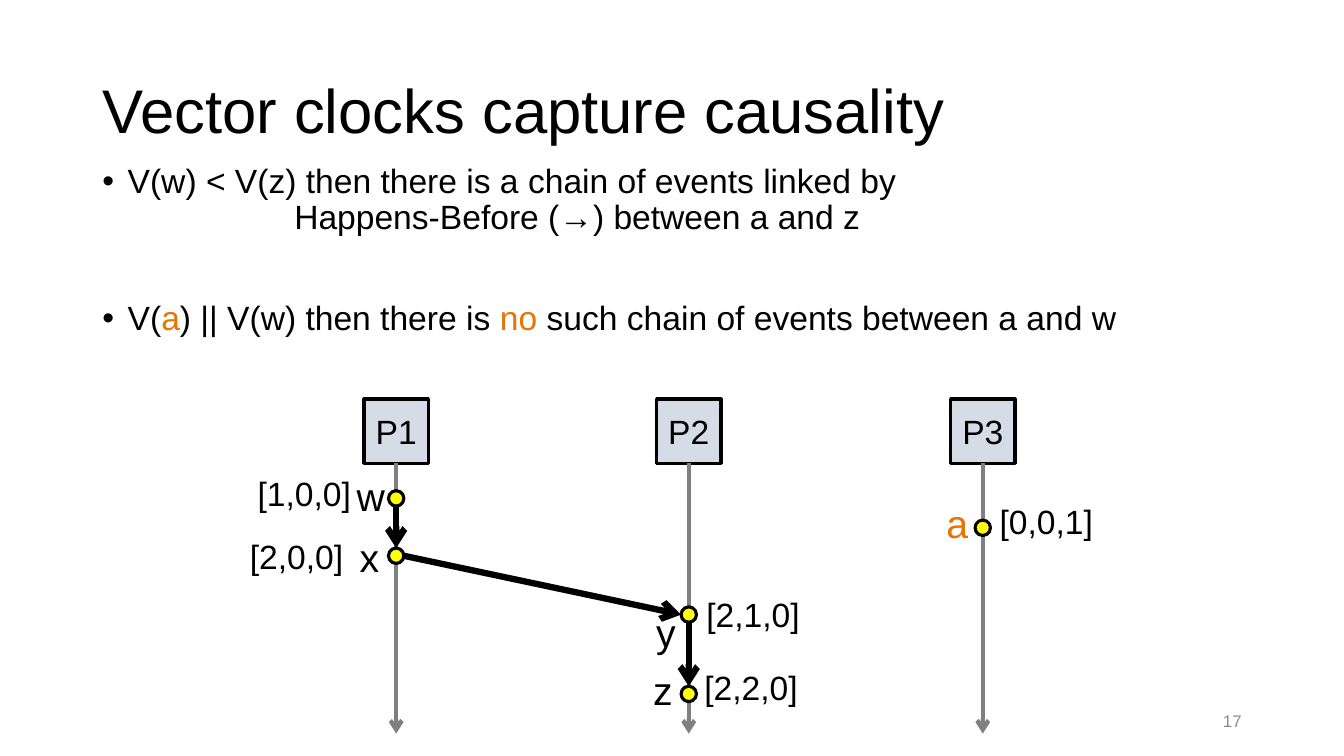
from pptx import Presentation
from pptx.dml.color import RGBColor
from pptx.enum.shapes import MSO_CONNECTOR as LINE, MSO_SHAPE as SHAPE
from pptx.enum.text import MSO_ANCHOR as ANCHOR, MSO_AUTO_SIZE as FIT, PP_ALIGN as ALIGN
from pptx.oxml.ns import qn
from pptx.util import Pt
from lxml.etree import SubElement

BLACK, GRAY, ORANGE = "000000", "808080", "E77500"
BOX_SIZE, BOX_TOP, TIMELINE_END, DOT = 46, 285, 524, 11

PROCESSES = {"P1": 283, "P2": 492, "P3": 702}

# name: process, centre y, name position, clock, clock position, name colour
EVENTS = {
    "w": ("P1", 356, (247.7, 334), "[1,0,0]", (177, 334), BLACK),
    "x": ("P1", 397, (249.8, 377.3), "[2,0,0]", (171.4, 379.4), BLACK),
    "y": ("P2", 439, (461.5, 431.3), "[2,1,0]", (497.5, 420.5), BLACK),
    "z": ("P2", 495.7, (459.4, 472.3), "[2,2,0]", (496, 473), BLACK),
    "a": ("P3", 377, (668.9, 352.8), "[0,0,1]", (707, 354.2), ORANGE),
}
CHAIN = ["w", "x", "y", "z"]


def color(hex_text):
    return RGBColor.from_string(hex_text)


def write(para, text, size=24, fill=BLACK, align=None):
    span = para.add_run()
    span.text = text
    span.font.name = "Arial"
    span.font.size = Pt(size)
    span.font.color.rgb = color(fill)
    if align is not None:
        para.alignment = align


def place(shape, left, top, width, height):
    shape.left, shape.top = Pt(left), Pt(top)
    shape.width, shape.height = Pt(width), Pt(height)


def add_bullet(para, tab=None):
    """Give the paragraph a hanging bullet and an optional tab stop."""
    props = para._p.get_or_add_pPr()
    props.set("marL", str(Pt(18)))
    props.set("indent", str(-Pt(18)))
    bullet_color = SubElement(props, qn("a:buClr"))
    SubElement(bullet_color, qn("a:srgbClr"), val=BLACK)
    SubElement(props, qn("a:buFont"), typeface="Arial")
    SubElement(props, qn("a:buChar"), char="•")
    if tab:
        tabs = SubElement(props, qn("a:tabLst"))
        SubElement(tabs, qn("a:tab"), pos=str(Pt(tab)), algn="l")
    para.line_spacing = 0.9


def add_label(page, text, left, top, width, height, size=24, fill=BLACK):
    box = page.shapes.add_textbox(Pt(left), Pt(top), Pt(width), Pt(height))
    box.text_frame.word_wrap = False
    box.text_frame.auto_size = FIT.SHAPE_TO_FIT_TEXT
    write(box.text_frame.paragraphs[0], text, size, fill)


def add_shape(page, kind, center_x, top, size, fill):
    shape = page.shapes.add_shape(kind, Pt(center_x - size / 2), Pt(top), Pt(size), Pt(size))
    shape.shadow.inherit = False
    shape.fill.solid()
    shape.fill.fore_color.rgb = color(fill)
    shape.line.color.rgb = color(BLACK)
    shape.line.width = Pt(2.25)
    return shape


def add_arrow(page, start, end, stroke, width):
    arrow = page.shapes.add_connector(LINE.STRAIGHT, *[Pt(v) for v in (*start, *end)])
    arrow.line.color.rgb = color(stroke)
    arrow.line.width = Pt(width)
    SubElement(arrow.line._get_or_add_ln(), qn("a:tailEnd"), type="arrow")
    SubElement(arrow._element.spPr, qn("a:effectLst"))
    return arrow


def add_process(page, name, x):
    box = add_shape(page, SHAPE.FLOWCHART_PROCESS, x, BOX_TOP, BOX_SIZE, "D6DCE5")
    frame = box.text_frame
    frame.margin_left = frame.margin_right = 0
    frame.vertical_anchor = ANCHOR.MIDDLE
    write(frame.paragraphs[0], name, align=ALIGN.CENTER)
    timeline = add_arrow(page, (x, BOX_TOP + BOX_SIZE), (x, TIMELINE_END), GRAY, 3)
    timeline.begin_connect(box, 2)


def add_message(page, sender, receiver):
    """Join two events: downwards within a process, sideways between two."""
    (x1, y1), (x2, y2) = [(PROCESSES[EVENTS[name][0]], EVENTS[name][1])
                          for name in (sender, receiver)]
    dx, dy = (0, DOT / 2) if x1 == x2 else (DOT / 2, 0)
    add_arrow(page, (x1 + dx, y1 + dy), (x2 - dx, y2 - dy), BLACK, 4.5)


def add_event(page, name):
    process, y, name_at, clock, clock_at, fill = EVENTS[name]
    add_shape(page, SHAPE.OVAL, PROCESSES[process], y - DOT / 2, DOT, "FFFF00")
    add_label(page, name, *name_at, 36 if name == "w" else 29.5, 41, 28, fill)
    add_label(page, clock, *clock_at, 83, 36)


def fill_title(title):
    place(title, 66, 28.8, 828, 104.4)
    title.text_frame.auto_size = FIT.NONE
    title.text_frame.vertical_anchor = ANCHOR.MIDDLE
    para = title.text_frame.paragraphs[0]
    para.line_spacing = 0.9
    write(para, "Vector clocks capture causality", 44, align=ALIGN.LEFT)


def fill_body(body):
    place(body, 66, 113.8, 828, 169)
    frame = body.text_frame
    frame.auto_size = FIT.NONE
    para = frame.paragraphs[0]
    add_bullet(para, tab=137)
    para.space_before = Pt(0)
    write(para, "V(w) < V(z) then there is a chain of events linked by")
    para.add_line_break()
    write(para, "\tHappens-Before (→) between a and z")

    para = frame.add_paragraph()
    add_bullet(para)
    para.space_before = Pt(46)
    for text, fill in [("V(", BLACK), ("a", ORANGE), (") || V(w) then there is ", BLACK),
                       ("no", ORANGE), (" such chain of events between a and w", BLACK)]:
        write(para, text, fill=fill)


def add_page_number(page, number):
    box = page.shapes.add_textbox(Pt(678), Pt(500.4), Pt(216), Pt(28.8))
    box.text_frame.word_wrap = True
    box.text_frame.vertical_anchor = ANCHOR.MIDDLE
    write(box.text_frame.paragraphs[0], number, 12, "8C8C8C", ALIGN.RIGHT)


def main():
    deck = Presentation()
    deck.slide_width, deck.slide_height = Pt(960), Pt(540)
    page = deck.slides.add_slide(deck.slide_layouts[1])
    fill_title(page.shapes.title)
    fill_body(page.placeholders[1])
    for name, x in PROCESSES.items():
        add_process(page, name, x)
    for sender, receiver in zip(CHAIN, CHAIN[1:]):
        add_message(page, sender, receiver)
    for name in EVENTS:
        add_event(page, name)
    add_page_number(page, "17")
    deck.save("out.pptx")


if __name__ == "__main__":
    main()
